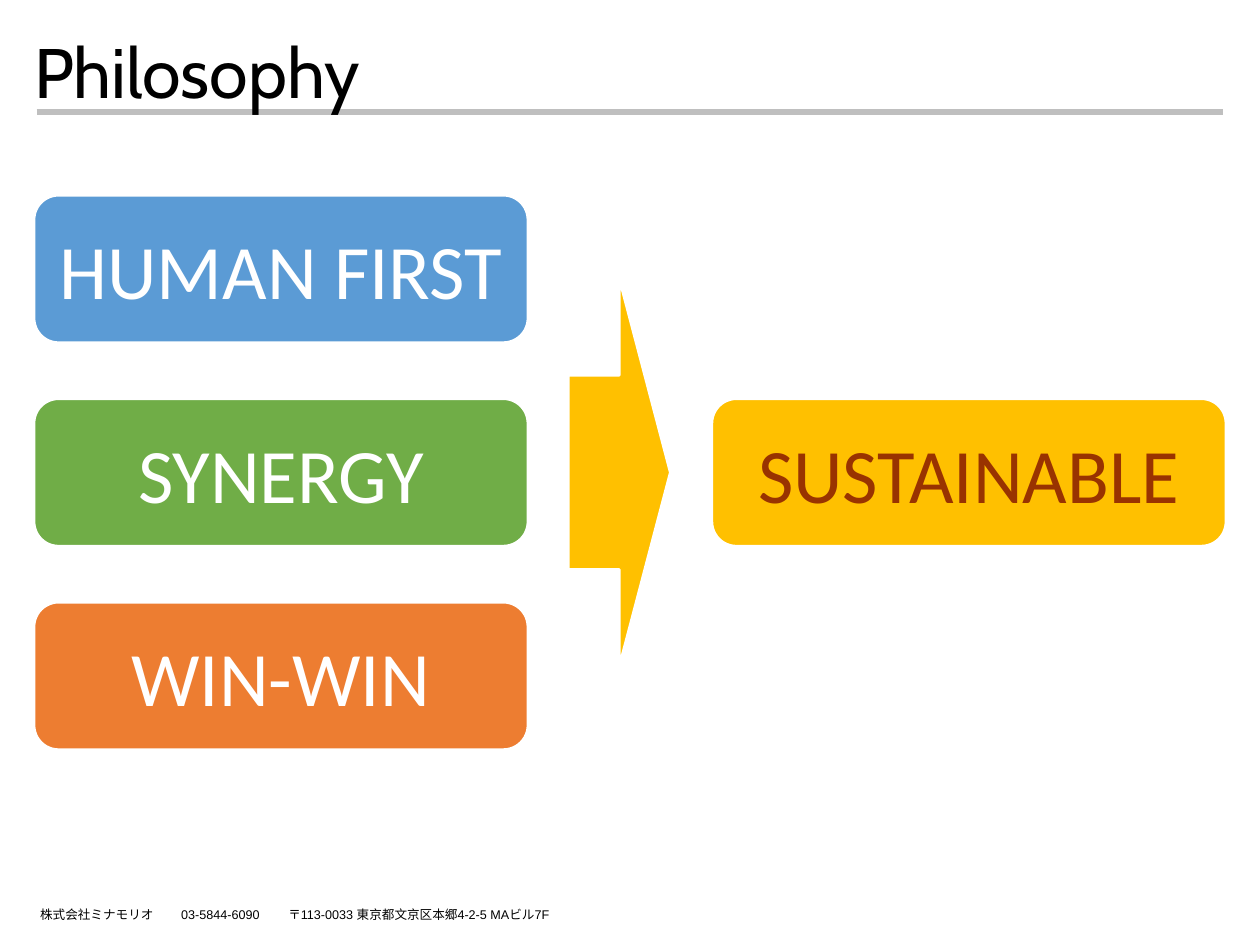
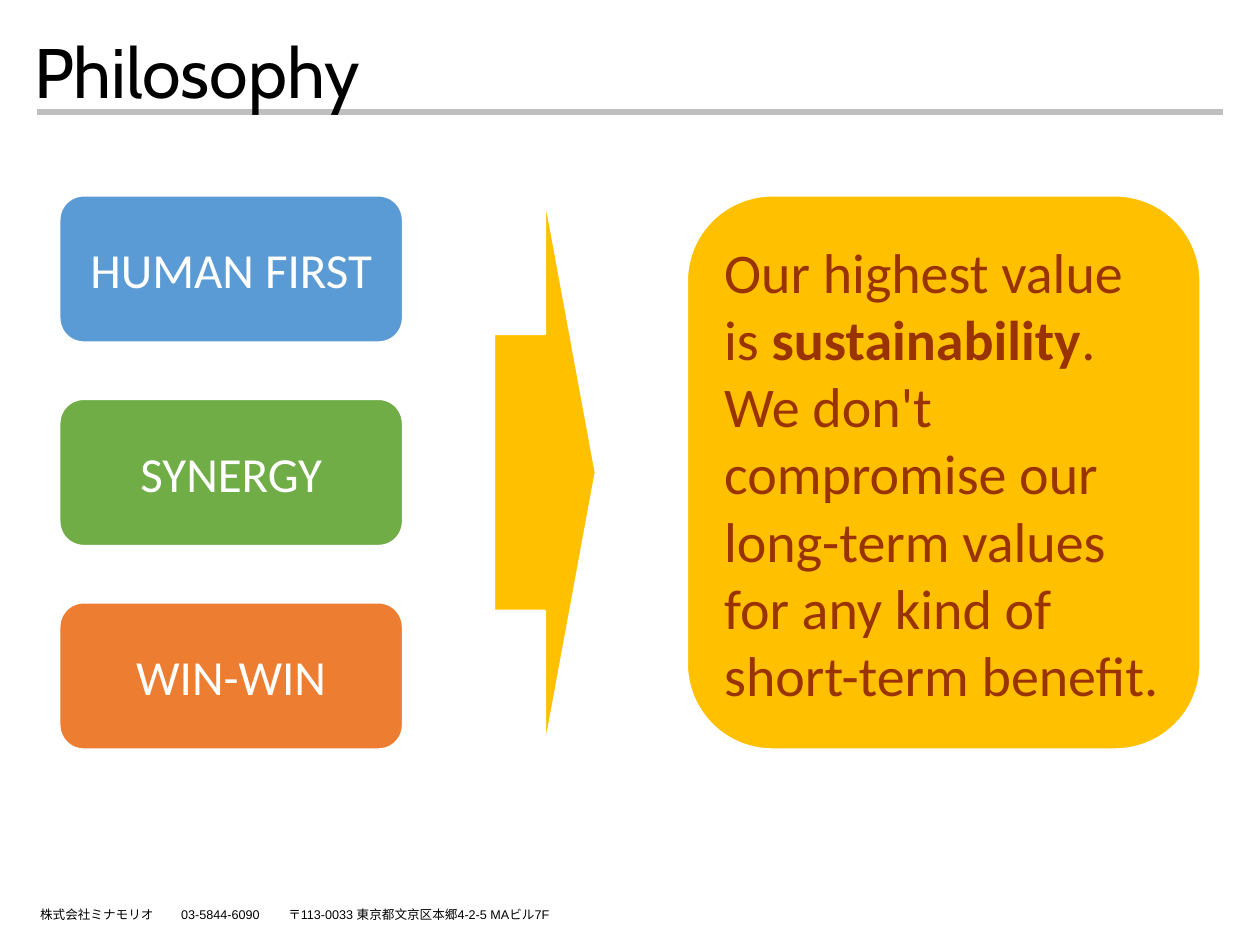
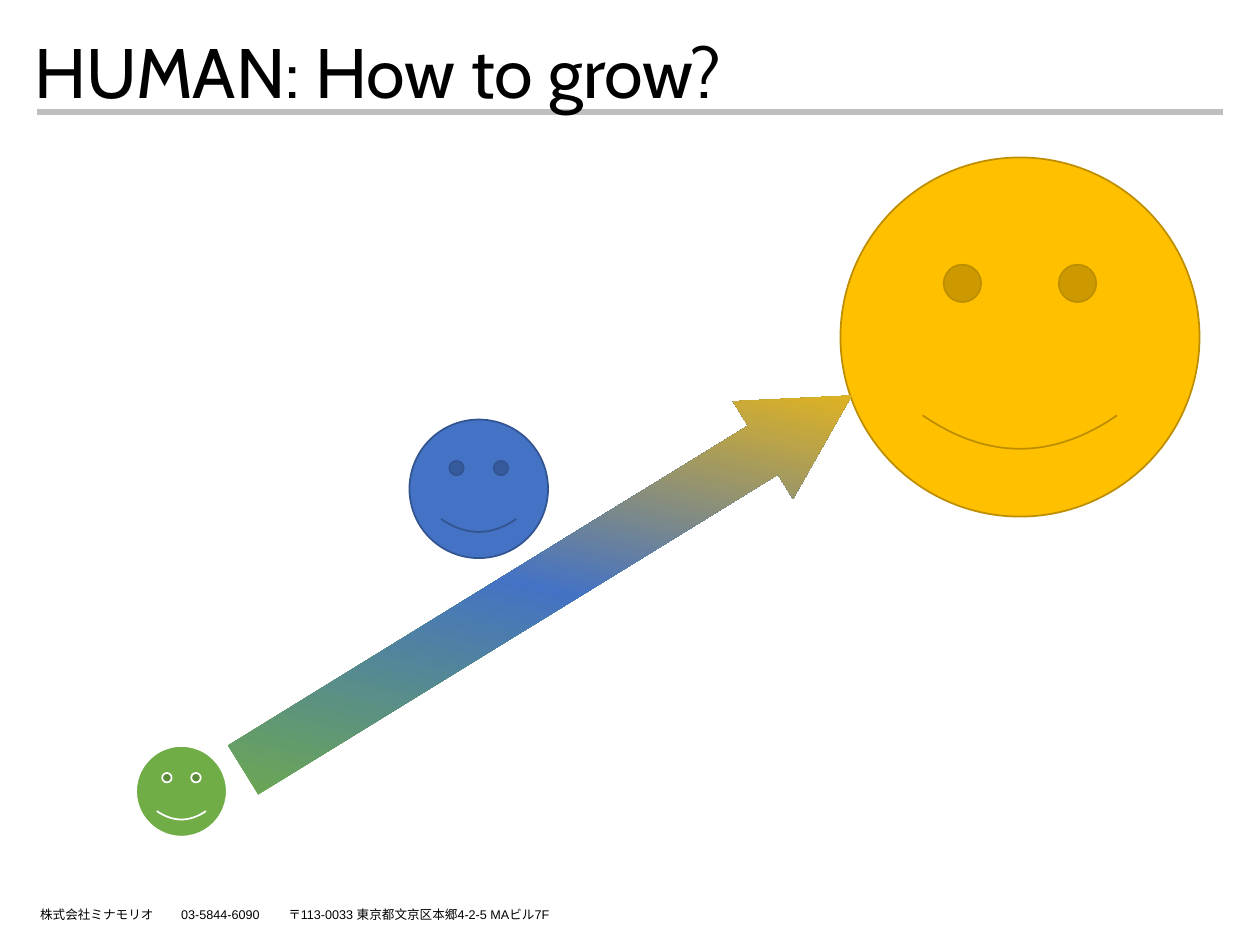
from copy import deepcopy

from lxml import etree
from pptx import Presentation
from pptx import util as u
from pptx.dml.color import RGBColor
from pptx.enum import shapes, text
from pptx.oxml.ns import qn

WIDTH, HEIGHT = 10, 7.5
BLACK, WHITE, RULE = "000000", "FFFFFF", "BFBFBF"
BLUE, GREEN, ORANGE = "5B9BD5", "70AD47", "ED7D31"
GOLD, RUST, INDIGO = "FFC000", "993300", "4472C4"
VALUES = {"HUMAN FIRST": BLUE, "SYNERGY": GREEN, "WIN-WIN": ORANGE}

# The three value boxes fill the body height with equal gaps.
BODY_TOP, BODY_HEIGHT, ROW_HEIGHT = 1.55, 4.4, 1.17
ROW_PITCH = (BODY_HEIGHT - ROW_HEIGHT) / (len(VALUES) - 1)
BODY_MIDDLE = BODY_TOP + BODY_HEIGHT / 2
ARROW_WIDTH = 0.81

FOOTER = ["株式会社ミナモリオ", "03-5844-6090", "〒113-0033 東京都文京区本郷4-2-5 MAビル7F"]
FOOTER_TABS = [1.12, 1.97]


def rgb(color):
    return RGBColor.from_string(color)


def inches(*lengths):
    return [u.Inches(length) for length in lengths]


def write(paragraph, words, font, size, color, bold=False):
    run = paragraph.add_run()
    run.text = words
    look = {"name": font, "size": u.Pt(size), "bold": bold}
    for attribute, value in look.items():
        setattr(run.font, attribute, value)
    run.font.color.rgb = rgb(color)


def add_figure(parent, kind, place, fill=None, line=None, weight=1.5):
    figure = parent.add_shape(kind, *inches(*place))
    figure.shadow.inherit = False
    if fill:
        figure.fill.solid()
        figure.fill.fore_color.rgb = rgb(fill)
    if line:
        figure.line.color.rgb = rgb(line)
        figure.line.width = u.Pt(weight)
    else:
        figure.line.fill.background()
    return figure


def add_box(parent, place, fill, runs, size, color, align=text.PP_ALIGN.CENTER):
    """Rounded box; runs is a list of (words, bold)."""
    box = add_figure(parent, shapes.MSO_SHAPE.ROUNDED_RECTANGLE, place, fill, WHITE)
    frame = box.text_frame
    frame.word_wrap = True
    frame.vertical_anchor = text.MSO_ANCHOR.MIDDLE
    paragraph = frame.paragraphs[0]
    paragraph.alignment = align
    for words, bold in runs:
        write(paragraph, words, "Calibri", size, color, bold)


def add_values(parent, left, width, size):
    for row, (value, color) in enumerate(VALUES.items()):
        place = (left, BODY_TOP + row * ROW_PITCH, width, ROW_HEIGHT)
        add_box(parent, place, color, [(value, False)], size, WHITE)


def add_result_arrow(slide, left, height):
    place = (left, BODY_MIDDLE - height / 2, ARROW_WIDTH, height)
    add_figure(slide.shapes, shapes.MSO_SHAPE.RIGHT_ARROW, place, GOLD, WHITE)


def add_face(slide, left, top, diameter, fill, line):
    face = add_figure(slide.shapes, shapes.MSO_SHAPE.SMILEY_FACE,
                      (left, top, diameter, diameter), fill, line, 1)
    face.adjustments[0] = 0.047


def add_growth_arrow(slide, place, rotation, stops):
    arrow = add_figure(slide.shapes, shapes.MSO_SHAPE.RIGHT_ARROW, place)
    arrow.rotation = rotation
    arrow.adjustments[1] = 0.909
    arrow.fill.gradient()
    arrow.fill.gradient_angle = 45
    stop_list = arrow.element.spPr.find(".//" + qn("a:gsLst"))
    stop_list.append(deepcopy(stop_list[0]))
    for stop, (position, color) in zip(arrow.fill.gradient_stops, stops):
        stop.position = position
        stop.color.rgb = rgb(color)


def furnish_layout(layout, slide):
    """Draw the title rule and footer on a slide, then move them to its layout."""
    margin, rule_y = 0.29, 0.89
    rule = slide.shapes.add_connector(shapes.MSO_CONNECTOR.STRAIGHT,
                                      *inches(margin, rule_y, WIDTH - margin, rule_y))
    rule.line.color.rgb = rgb(RULE)
    rule.line.width = u.Pt(3)
    etree.SubElement(rule.element.spPr, qn("a:effectLst"))

    footer = slide.shapes.add_textbox(*inches(0.22, 7.15, WIDTH / 2, 0.22))
    footer.text_frame.word_wrap = True
    footer.text_frame.auto_size = text.MSO_AUTO_SIZE.SHAPE_TO_FIT_TEXT
    address = footer.text_frame.paragraphs[0]
    write(address, "\t".join(FOOTER), "Arial", 7.2, BLACK)
    tabs = etree.SubElement(address._p.get_or_add_pPr(), qn("a:tabLst"))
    for position in FOOTER_TABS:
        etree.SubElement(tabs, qn("a:tab"), pos=str(u.Inches(position)), algn="l")

    for part in (rule, footer):
        layout.shapes.element.append(part.element)


def add_slide(prs, layout, heading, title_width):
    slide = prs.slides.add_slide(layout)
    title = slide.shapes.title
    place = inches(0.17, 0.25, title_width, 0.63)
    for side, length in zip(("left", "top", "width", "height"), place):
        setattr(title, side, length)
    frame = title.text_frame
    frame.auto_size = text.MSO_AUTO_SIZE.NONE
    frame.vertical_anchor = text.MSO_ANCHOR.TOP
    paragraph = frame.paragraphs[0]
    paragraph.alignment = text.PP_ALIGN.LEFT
    paragraph.line_spacing = 0.9
    write(paragraph, heading, "Cabin", 40, BLACK)
    return slide


def main():
    prs = Presentation()
    prs.slide_width, prs.slide_height = inches(WIDTH, HEIGHT)
    layout = prs.slide_layouts.get_by_name("Title Only")

    summary = add_slide(prs, layout, "Philosophy", 6.83)
    furnish_layout(layout, summary)
    add_values(summary.shapes, 0.27, 3.92, 44)
    add_box(summary.shapes, (5.65, BODY_TOP + ROW_PITCH, 4.08, ROW_HEIGHT), GOLD,
            [("SUSTAINABLE", False)], 44, RUST)
    add_result_arrow(summary, 4.51, 3.08)

    detail = add_slide(prs, layout, "Philosophy", 6.83)
    add_box(detail.shapes, (5.45, BODY_TOP, 4.08, BODY_HEIGHT), GOLD,
            [("Our highest value is ", False), ("sustainability", True),
             (". We don't compromise our long-term values "
              "for any kind of short-term benefit.", False)],
            32, RUST, text.PP_ALIGN.LEFT)
    add_values(detail.shapes.add_group_shape().shapes, 0.47, 2.73, 28)
    add_result_arrow(detail, 3.92, BODY_HEIGHT)

    growth = add_slide(prs, layout, "HUMAN: How to grow?", 7.58)
    add_face(growth, 1.08, 5.92, 0.72, GREEN, WHITE)
    add_face(growth, 6.67, 1.25, 2.85, GOLD, "BD8E00")
    add_growth_arrow(growth, (1.51, 4.17, 5.67, 0.91), 328.4,
                     [(0, GREEN), (0.49, INDIGO), (1, GOLD)])
    add_face(growth, 3.25, 3.33, 1.1, INDIGO, "325491")

    prs.save("out.pptx")


if __name__ == "__main__":
    main()
